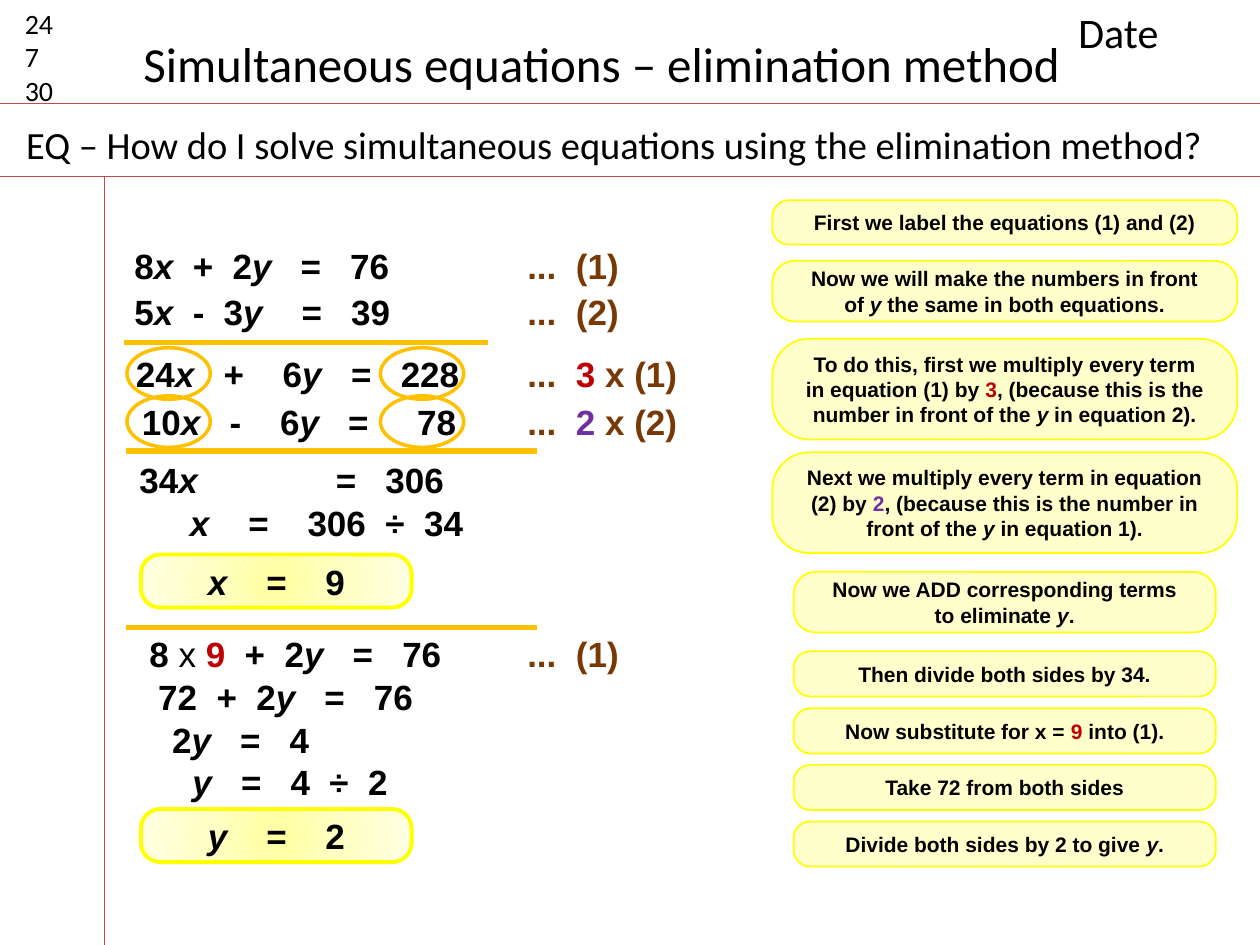
from lxml import etree
from pptx import Presentation
from pptx.dml.color import RGBColor
from pptx.enum.shapes import MSO_CONNECTOR, MSO_SHAPE
from pptx.enum.text import MSO_ANCHOR, PP_ALIGN
from pptx.oxml import parse_xml
from pptx.oxml.ns import nsdecls, qn
from pptx.util import Cm, Pt

STRAIGHT = MSO_CONNECTOR.STRAIGHT
ROUNDED, OVAL = MSO_SHAPE.ROUNDED_RECTANGLE, MSO_SHAPE.OVAL
LEFT, CENTER = PP_ALIGN.LEFT, PP_ALIGN.CENTER
MIDDLE = MSO_ANCHOR.MIDDLE

BLACK, BROWN, RED, PURPLE = "000000", "793905", "C00000", "7030A0"
RULE, AMBER, YELLOW, CREAM = "BF4C48", "FFC000", "FFFF00", "FFFFCC"
GLOW = ((0, "FFFFA0"), (50, "FFFFC5"), (100, "FFFFE3"))
CORNER = 0.366
X, Y = ("x", "italic"), ("y", "italic")
LABEL_TABS = (0.98,)


def color(hex_code):
    """Turn a hex string into a colour."""
    return RGBColor.from_string(hex_code)


def write(para, spans, size, font="Arial", ink=BLACK, bold=True, align=LEFT, tabs=()):
    """Fill a paragraph with plain or styled spans and set its tab stops in cm."""
    para.alignment = align
    if tabs:
        stops = etree.SubElement(para._p.get_or_add_pPr(), qn("a:tabLst"))
        for stop in tabs:
            etree.SubElement(stops, qn("a:tab"), pos=str(Cm(stop)), algn="l")
    para.font.name, para.font.size, para.font.bold = font, Pt(size), bold
    para.font.color.rgb = color(ink)
    for entry in spans:
        text, style = (entry, None) if isinstance(entry, str) else entry
        span = para.add_run()
        span.text = text
        if style == "italic":
            span.font.italic = True
        elif style == "regular":
            span.font.bold = False
        elif style:
            span.font.color.rgb = color(style)


def add_text(page, left, top, width, height, lines, size, **style):
    """Add a text box with one paragraph for each list of spans."""
    frame = page.shapes.add_textbox(Cm(left), Cm(top), Cm(width), Cm(height)).text_frame
    frame.word_wrap = True
    for index, spans in enumerate(lines):
        para = frame.add_paragraph() if index else frame.paragraphs[0]
        write(para, spans, size, **style)


def add_line(page, start, end, ink, weight):
    """Draw a straight line between two points in cm."""
    line = page.shapes.add_connector(STRAIGHT, *(Cm(value) for value in start + end))
    line.line.color.rgb = color(ink)
    line.line.width = Pt(weight)
    etree.SubElement(line._element.spPr, qn("a:effectLst"))


def add_outline(page, kind, box, ink, weight, fill=None):
    """Add a preset shape with an outline and an optional plain fill."""
    shape = page.shapes.add_shape(kind, *(Cm(value) for value in box))
    shape.shadow.inherit = False
    shape.line.color.rgb = color(ink)
    shape.line.width = Pt(weight)
    if fill:
        shape.fill.solid()
        shape.fill.fore_color.rgb = color(fill)
    else:
        shape.fill.background()
    if kind == ROUNDED:
        shape.adjustments[0] = CORNER
    return shape


def set_margins(shape, left, right):
    """Centre the text of a rounded box vertically, with side margins in cm."""
    frame = shape.text_frame
    inset = CORNER * 0.293 * shape.height.cm
    frame.word_wrap, frame.vertical_anchor = True, MIDDLE
    frame.margin_top = frame.margin_bottom = 0
    frame.margin_left, frame.margin_right = Cm(left - inset), Cm(right - inset)


def add_result(page, left, top, spans):
    """Add a glowing box that holds the value of one unknown."""
    shape = add_outline(page, ROUNDED, (left, top, 5.46, 1.07), YELLOW, 2.25)
    stops = "".join(f'<a:gs pos="{place * 1000}"><a:srgbClr val="{ink}"/></a:gs>'
                    for place, ink in GLOW)
    glow = parse_xml(f'<a:gradFill {nsdecls("a")}><a:gsLst>{stops}</a:gsLst>'
                     '<a:path path="circle"><a:fillToRect l="50000" t="50000" '
                     'r="50000" b="50000"/></a:path></a:gradFill>')
    properties = shape._element.spPr
    properties.replace(properties.find(qn("a:noFill")), glow)
    set_margins(shape, 1.35, 0.5)
    write(shape.text_frame.paragraphs[0], spans, 20, tabs=(1.18, 2.37))


def draw_header(page, box):
    """Draw the page rules, starter numbers, title, date and question."""
    left, top, width, height = box
    plain = {"font": "Calibri", "bold": False}
    for rule in (2.08, 3.56):
        add_line(page, (left, top + rule), (left + width, top + rule), RULE, 0.75)
    add_line(page, (left + 2.11, top + 3.56), (left + 2.11, top + height), RULE, 0.75)
    add_text(page, left + 0.25, top, 1.6, 2.31, (["24"], ["7"], ["30"]), 16, **plain)
    add_text(page, left + 21.49, top, 3.9, 1.27, (["Date"],), 24, **plain)
    question = "EQ – How do I solve simultaneous equations using the elimination method?"
    add_text(page, left + 0.28, top + 2.31, 25.07, 1.19, ([question],), 22, **plain)
    title = "Simultaneous equations – elimination method"
    add_text(page, left + 2.64, top + 0.56, 19.2, 1.45, ([title],), 28, **plain)


def draw_working(page, box):
    """Set out the equations, their labels, dividers, rings and results."""
    left, top, width, height = box
    first_tabs = (1.18, 1.98, 3.35, 4.35)
    equations = (
        (0, 0, ["8", X, "\t+\t2", Y, "\t=\t76"], first_tabs),
        (0, 0.94, ["5", X, "\t-\t3", Y, "\t=\t39"], (1.18, 1.8, 3.37, 4.37)),
        (0.03, 2.18, ["24", X, "\t+\t6", Y, "\t=\t228"], (1.77, 2.96, 4.34, 5.34)),
        (0.15, 3.15, ["10", X, "\t-\t6", Y, "\t=\t78"], (1.77, 2.79, 4.16, 5.55)),
        (0.1, 4.32, ["34", X], ()),
        (4.06, 4.32, ["=\t306"], (1,)),
        (1.12, 5.18, [X, "\t=\t306\t÷\t34"], (1.18, 2.37, 3.94, 4.72)),
        (0.3, 7.82, ["8 ", ("x ", "regular"), ("9", RED), "\t+\t2", Y, "\t=\t76"],
         (1.92, 2.73, 4.1, 5.1)),
        (0.48, 8.69, ["72\t+\t2", Y, "\t=\t76"], first_tabs),
        (0.76, 9.55, ["2", Y, "\t=\t4"], (1.37, 2.37)),
        (1.17, 10.41, [Y, "\t=\t4\t÷\t2"], (0.98, 1.98, 2.76, 3.54)),
    )
    for across, down, spans, tabs in equations:
        add_text(page, left + across, top + down, 8.51, 1.12, (spans,), 20, tabs=tabs)
    labels = (
        (0, ["...\t(1)"]),
        (0.94, ["...\t(2)"]),
        (2.18, ["...\t", ("3", RED), " x (1)"]),
        (3.15, ["...\t", ("2", PURPLE), " x (2)"]),
        (7.82, ["...\t(1)"]),
    )
    for down, spans in labels:
        add_text(page, left + 7.92, top + down, width - 7.92, 1.12, (spans,), 20,
                 ink=BROWN, tabs=LABEL_TABS)
    for start, end, down in ((0.05, 7.37, 2.11), (0.08, 8.36, 4.29), (0.08, 8.36, 7.85)):
        add_line(page, (left + start, top + down), (left + end, top + down), AMBER, 3)
    add_result(page, left + 0.38, top + 6.38, [X, "\t=\t9"])
    add_result(page, left + 0.38, top + height - 1.07, [Y, "\t=\t2"])
    for across in (0.1, 5.21):
        for down in (2.21, 3.18):
            add_outline(page, OVAL, (left + across, top + down, 1.68, 1.04), AMBER, 2)


def draw_notes(page, box):
    """Stack the explanations, four wide ones above five narrow ones."""
    left, top, width, _ = box
    notes = (
        (0, 0.89, ["First we label the equations (1) and (2)"]),
        (1.22, 1.22, ["Now we will make the numbers in front of ", Y,
                      " the same in both equations."]),
        (2.79, 2.03, ["To do this, first we multiply every term in equation (1) by ",
                      ("3", RED), ", (because this is the number in front of the ", Y,
                      " in equation 2)."]),
        (5.08, 2.03, ["Next we multiply every term in equation (2) by ", ("2", PURPLE),
                      ", (because this is the number in front of the ", Y,
                      " in equation 1)."]),
        (7.49, 1.22, ["Now we ADD corresponding terms to eliminate ", Y, "."]),
        (9.09, 0.91, ["Then divide both sides by 34."]),
        (10.24, 0.91, ["Now substitute for x = ", ("9", RED), " into (1)."]),
        (11.38, 0.91, ["Take 72 from both sides"]),
        (12.52, 0.91, ["Divide both sides by 2 to give ", Y, "."]),
    )
    for index, (down, height, spans) in enumerate(notes):
        indent, margin = (0, 0.62) if index < 4 else (0.43, 0.55)
        place = (left + indent, top + down, width - 2 * indent, height)
        note = add_outline(page, ROUNDED, place, YELLOW, 1, CREAM)
        set_margins(note, margin, margin)
        write(note.text_frame.paragraphs[0], spans, 12, align=CENTER)


def main():
    """Build the slide and save it."""
    deck = Presentation()
    deck.slide_width, deck.slide_height = Cm(25.4), Cm(19.05)
    page = deck.slides.add_slide(deck.slide_layouts[6])
    draw_header(page, (0, 0, 25.4, 19.05))
    draw_working(page, (2.46, 4.8, 11.81, 12.58))
    draw_notes(page, (15.57, 4.04, 9.37, 13.43))
    deck.save("out.pptx")


if __name__ == "__main__":
    main()
